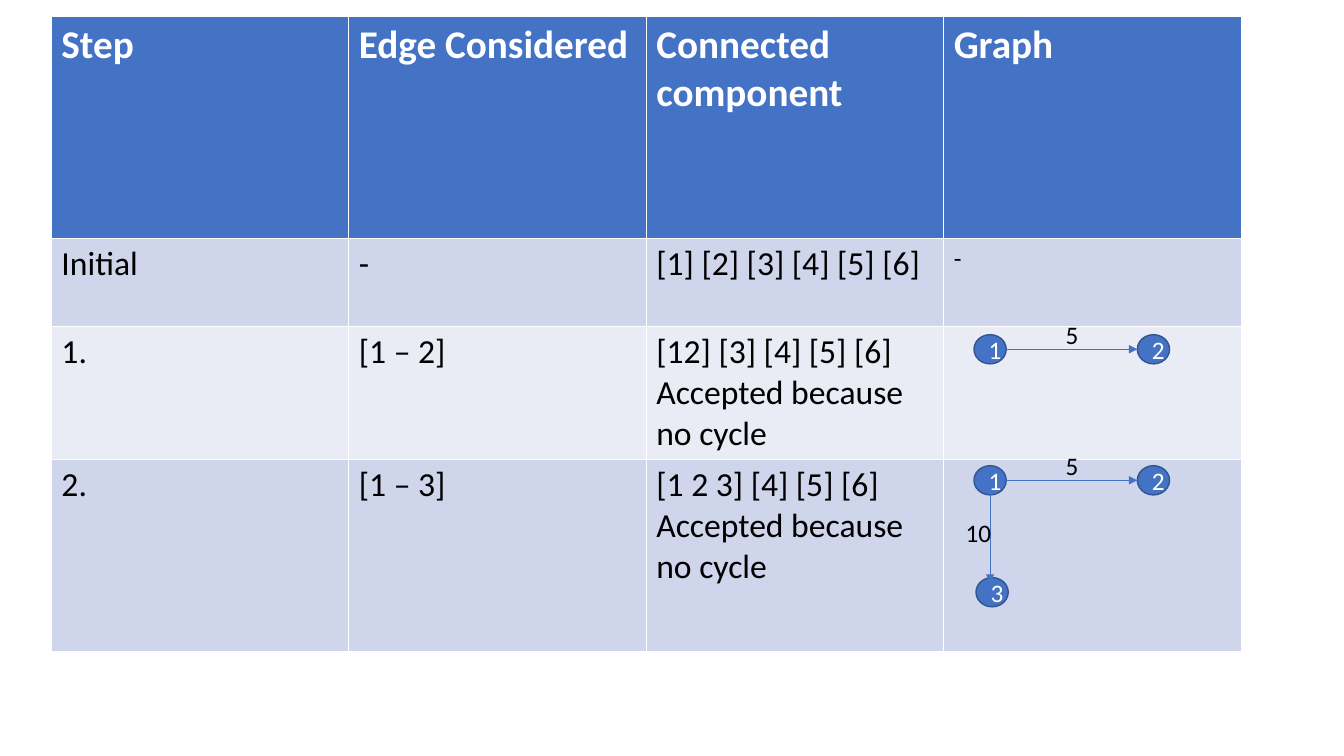
from lxml import etree
from pptx import Presentation
from pptx.dml.color import RGBColor
from pptx.enum.shapes import MSO_CONNECTOR, MSO_SHAPE
from pptx.enum.text import MSO_ANCHOR, PP_ALIGN
from pptx.oxml.ns import qn
from pptx.util import Inches, Pt

BLUE = RGBColor(0x44, 0x72, 0xC4)
DARK_BLUE = RGBColor(0x32, 0x54, 0x91)
BAND_DARK = RGBColor(0xCF, 0xD5, 0xEA)
BAND_LIGHT = RGBColor(0xE9, 0xEB, 0xF5)
WHITE = RGBColor(0xFF, 0xFF, 0xFF)
BLACK = RGBColor(0x00, 0x00, 0x00)

TABLE_LEFT, TABLE_TOP = 0.51, 0.16
COLUMN_WIDTH = 2.95
ROW_HEIGHTS = [2.21, 0.87, 1.3, 1.9]
STEPS = [
    ["Step", "Edge Considered", "Connected component", "Graph"],
    ["Initial", "-", "[1] [2] [3] [4] [5] [6]", "-"],
    ["1.", "[1 – 2]", "[12] [3] [4] [5] [6]\nAccepted because no cycle", ""],
    ["2.", "[1 – 3]", "[1 2 3] [4] [5] [6]\nAccepted because no cycle", ""],
]

GRAPH_LEFT = TABLE_LEFT + 3 * COLUMN_WIDTH
NODE_WIDTH, NODE_HEIGHT = 0.32, 0.29
NODE_1_X, NODE_2_X = GRAPH_LEFT + 0.3, GRAPH_LEFT + 1.92
NODE_INSET = 0.08  # from the top of a row to its first nodes


def style_text(frame, size, color, bold=False, align=None):
    for paragraph in frame.paragraphs:
        font = paragraph.font
        font.name, font.size, font.bold = "Calibri", Pt(size), bold
        font.color.rgb = color
        paragraph.alignment = align


def add_steps_table(slide):
    table = slide.shapes.add_table(
        len(STEPS), len(STEPS[0]), Inches(TABLE_LEFT), Inches(TABLE_TOP),
        Inches(COLUMN_WIDTH * len(STEPS[0])), Inches(sum(ROW_HEIGHTS))).table
    for column in table.columns:
        column.width = Inches(COLUMN_WIDTH)
    for r, (height, texts) in enumerate(zip(ROW_HEIGHTS, STEPS)):
        table.rows[r].height = Inches(height)
        header = r == 0
        for c, text in enumerate(texts):
            cell = table.cell(r, c)
            cell.text = text
            cell.fill.solid()
            cell.fill.fore_color.rgb = BLUE if header else (BAND_LIGHT, BAND_DARK)[r % 2]
            size = 28 if header else 18 if c == 3 else 24
            style_text(cell.text_frame, size, WHITE if header else BLACK, bold=header)


def add_node(slide, label, left, top):
    node = slide.shapes.add_shape(
        MSO_SHAPE.OVAL, Inches(left), Inches(top), Inches(NODE_WIDTH), Inches(NODE_HEIGHT))
    node.shadow.inherit = False
    node.fill.solid()
    node.fill.fore_color.rgb = BLUE
    node.line.color.rgb = DARK_BLUE
    node.line.width = Pt(1)
    node.text_frame.text = label
    node.text_frame.vertical_anchor = MSO_ANCHOR.MIDDLE
    style_text(node.text_frame, 18, WHITE, align=PP_ALIGN.CENTER)


def add_arrow(slide, x1, y1, x2, y2):
    arrow = slide.shapes.add_connector(
        MSO_CONNECTOR.STRAIGHT, Inches(x1), Inches(y1), Inches(x2), Inches(y2))
    arrow.line.color.rgb = BLUE
    arrow.line.width = Pt(0.5)
    etree.SubElement(arrow.line._get_or_add_ln(), qn("a:tailEnd"), type="triangle")
    etree.SubElement(arrow._element.spPr, qn("a:effectLst"))


def add_weight(slide, weight, left, top, width):
    frame = slide.shapes.add_textbox(
        Inches(left), Inches(top), Inches(width), Inches(0.4)).text_frame
    frame.word_wrap = True
    frame.text = weight
    style_text(frame, 18, BLACK)


def add_first_edge(slide, top):
    """Draw nodes 1 and 2 and the edge of weight 5 between them."""
    add_node(slide, "1", NODE_1_X, top)
    add_node(slide, "2", NODE_2_X, top)
    middle = top + NODE_HEIGHT / 2
    add_arrow(slide, NODE_1_X + NODE_WIDTH, middle, NODE_2_X, middle)
    add_weight(slide, "5", GRAPH_LEFT + 1.11, top - 0.2, 0.32)


def add_second_edge(slide, top):
    """Draw node 3 and the edge of weight 10 down to it from node 1."""
    node_3_top = top + 1.11
    add_node(slide, "3", NODE_1_X + 0.02, node_3_top)
    center = NODE_1_X + NODE_WIDTH / 2
    add_arrow(slide, center, top + 0.25, center, node_3_top + 0.05)
    add_weight(slide, "10", GRAPH_LEFT + 0.12, top + 0.46, 0.48)


def main():
    presentation = Presentation()
    presentation.slide_width = Inches(13.33)
    presentation.slide_height = Inches(7.5)
    slide = presentation.slides.add_slide(presentation.slide_layouts[6])
    add_steps_table(slide)
    step_1_top, step_2_top = (
        TABLE_TOP + sum(ROW_HEIGHTS[:row]) + NODE_INSET for row in (2, 3))
    add_first_edge(slide, step_1_top)
    add_first_edge(slide, step_2_top)
    add_second_edge(slide, step_2_top)
    presentation.save("out.pptx")


if __name__ == "__main__":
    main()
